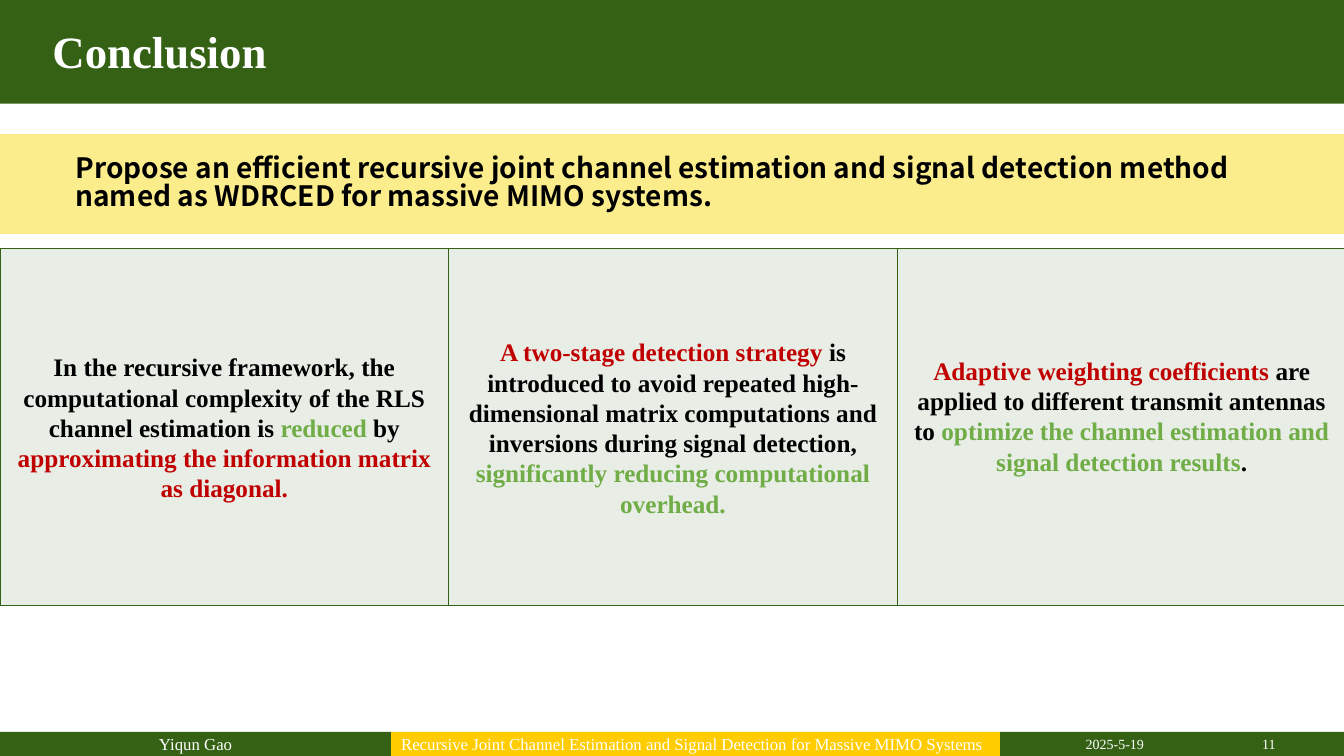
"""Build a conclusion slide with a banner, three finding cards and a footer."""
import pptx
import pptx.dml.color
import pptx.enum.shapes
import pptx.enum.text
import pptx.oxml
import pptx.oxml.ns
import pptx.util

RGBColor = pptx.dml.color.RGBColor
GREEN = RGBColor(0x35, 0x61, 0x15)
GOLD = RGBColor(0xFF, 0xCC, 0x00)
YELLOW = RGBColor(0xFB, 0xE4, 0x4F)
LIME = RGBColor(0x70, 0xAD, 0x47)
RED = RGBColor(0xC0, 0x00, 0x00)
BLACK = RGBColor(0x00, 0x00, 0x00)
WHITE = RGBColor(0xFF, 0xFF, 0xFF)
LEFT = pptx.enum.text.PP_ALIGN.LEFT
CENTER = pptx.enum.text.PP_ALIGN.CENTER
SERIF = "Times New Roman"
SANS = "Noto Sans CJK SC"

WIDTH, HEIGHT = 13.33, 7.5
HEADER_HEIGHT = 1.03
BANNER_TOP, BANNER_HEIGHT = 1.33, 0.99
CARD_TOP, CARD_HEIGHT = 2.47, 3.54
CARD_WIDTH = 4.45
FOOTER_HEIGHT = 0.24
FOOTER_TOP = HEIGHT - FOOTER_HEIGHT
FOOTER_EDGES = (0, 3.88, 9.92, WIDTH)

CARDS = (
    ((("In the recursive framework, the computational complexity of the RLS "
       "channel estimation is ", BLACK),
      ("reduced", LIME), (" by ", BLACK),
      ("approximating the information matrix as diagonal.", RED)), 0.05),
    ((("A two-stage detection strategy", RED),
      (" is introduced to avoid repeated high-dimensional matrix computations "
       "and inversions during signal detection, ", BLACK),
      ("significantly reducing computational overhead.", LIME)), 0.05),
    ((("Adaptive weighting coefficients ", RED),
      ("are applied to different transmit antennas to ", BLACK),
      ("optimize the channel estimation and signal detection results", LIME),
      (".", BLACK)), 0.28),
)
FOOTER_CELLS = (
    ("Yiqun Gao", GREEN, CENTER),
    ("Recursive Joint Channel Estimation and Signal Detection "
     "for Massive MIMO Systems", GOLD, LEFT),
    ("", GREEN, LEFT),
)
FOOTER_LABELS = (("2025-5-19", 10.67, 1.48), ("11", 12.42, 0.8))


def inches(*lengths):
    """Convert lengths in inches to slide units."""
    return [pptx.util.Inches(length) for length in lengths]


def write_text(shape, runs, size, font=SERIF, bold=False, align=LEFT,
               spacing=None, bottom=0.05):
    """Write coloured runs as one vertically centred paragraph."""
    frame = shape.text_frame
    frame.word_wrap = True
    frame.auto_size = pptx.enum.text.MSO_AUTO_SIZE.NONE
    frame.vertical_anchor = pptx.enum.text.MSO_ANCHOR.MIDDLE
    frame.margin_bottom = pptx.util.Inches(bottom)
    paragraph = frame.paragraphs[0]
    paragraph.alignment = align
    if spacing:
        paragraph.line_spacing = spacing
    for text, color in runs:
        run = paragraph.add_run()
        run.text = text
        run.font.name = font
        run.font.size = pptx.util.Pt(size)
        run.font.bold = bold
        run.font.color.rgb = color


def add_panel(slide, box, color, opacity=100, outlined=False):
    """Add a filled rectangle, optionally translucent and outlined in green."""
    rectangle = pptx.enum.shapes.MSO_SHAPE.RECTANGLE
    shape = slide.shapes.add_shape(rectangle, *inches(*box))
    shape.shadow.inherit = False
    shape.fill.solid()
    shape.fill.fore_color.rgb = color
    if opacity < 100:
        tag = pptx.oxml.ns.qn("a:srgbClr")
        fill_color = next(shape.element.spPr.iter(tag))
        alpha = pptx.oxml.parse_xml(
            f'<a:alpha {pptx.oxml.ns.nsdecls("a")} val="{opacity * 1000}"/>')
        fill_color.append(alpha)
    if outlined:
        shape.line.color.rgb = GREEN
        shape.line.width = pptx.util.Pt(0.75)
    else:
        shape.line.fill.background()
    return shape


def add_label(slide, box, text, color, size, **text_format):
    """Add a text box with one run."""
    label = slide.shapes.add_textbox(*inches(*box))
    write_text(label, [(text, color)], size, **text_format)


def add_header(slide):
    """Add the green header bar and place the title on it."""
    add_panel(slide, (0, 0, WIDTH, HEADER_HEIGHT), GREEN)
    title = slide.shapes.title
    title.left, title.top, title.width, title.height = inches(
        0.42, 0.08, 7.94, 0.92)
    write_text(title, [("Conclusion", WHITE)], 32, bold=True, spacing=0.9)
    title.element.getparent().append(title.element)


def add_banner(slide):
    """Add the yellow banner with the main statement."""
    add_panel(slide, (0, BANNER_TOP, WIDTH, BANNER_HEIGHT), YELLOW, opacity=65)
    add_label(slide, (0.65, BANNER_TOP, 12.43, BANNER_HEIGHT),
              "Propose an efficient recursive joint channel estimation and "
              "signal detection method named as WDRCED for massive MIMO systems.",
              BLACK, 20, font=SANS, bold=True, spacing=0.84)


def add_cards(slide):
    """Add one card per finding, side by side."""
    for column, (runs, bottom) in enumerate(CARDS):
        box = (column * CARD_WIDTH, CARD_TOP, CARD_WIDTH, CARD_HEIGHT)
        card = add_panel(slide, box, GREEN, opacity=11, outlined=True)
        write_text(card, runs, 18, bold=True, align=CENTER, bottom=bottom)


def add_footer(slide):
    """Add the footer bar with author, talk title, date and page number."""
    edges = zip(FOOTER_EDGES, FOOTER_EDGES[1:])
    for (left, right), (text, color, align) in zip(edges, FOOTER_CELLS):
        box = (left, FOOTER_TOP, right - left, FOOTER_HEIGHT)
        cell = add_panel(slide, box, color)
        if text:
            write_text(cell, [(text, WHITE)], 12, align=align)
    for text, left, width in FOOTER_LABELS:
        box = (left, FOOTER_TOP, width, FOOTER_HEIGHT)
        add_label(slide, box, text, WHITE, 10)


def main():
    """Build and save the presentation."""
    presentation = pptx.Presentation()
    presentation.slide_width, presentation.slide_height = inches(WIDTH, HEIGHT)
    slide = presentation.slides.add_slide(presentation.slide_layouts[5])
    add_footer(slide)
    add_header(slide)
    add_banner(slide)
    add_cards(slide)
    presentation.save("out.pptx")


if __name__ == "__main__":
    main()
